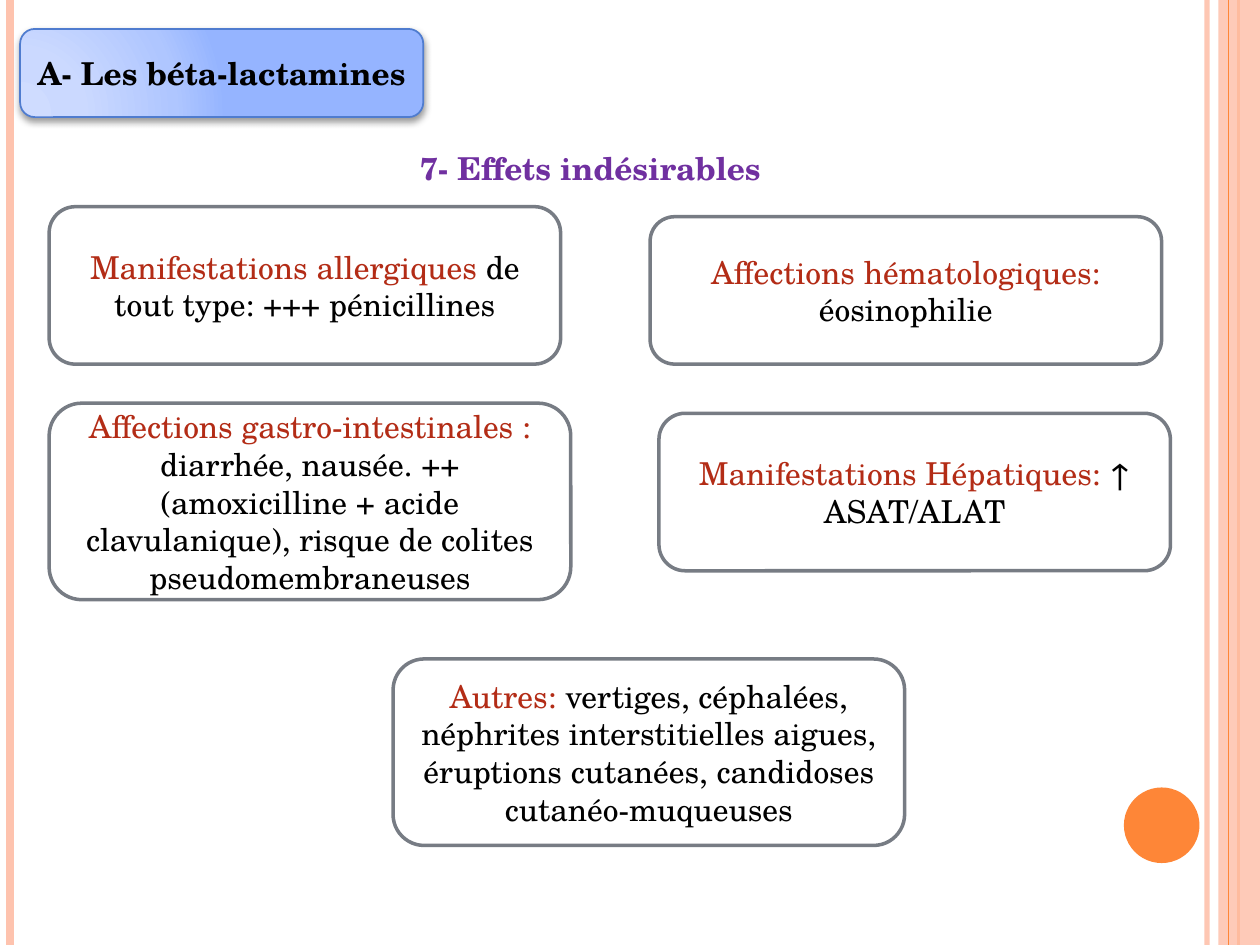
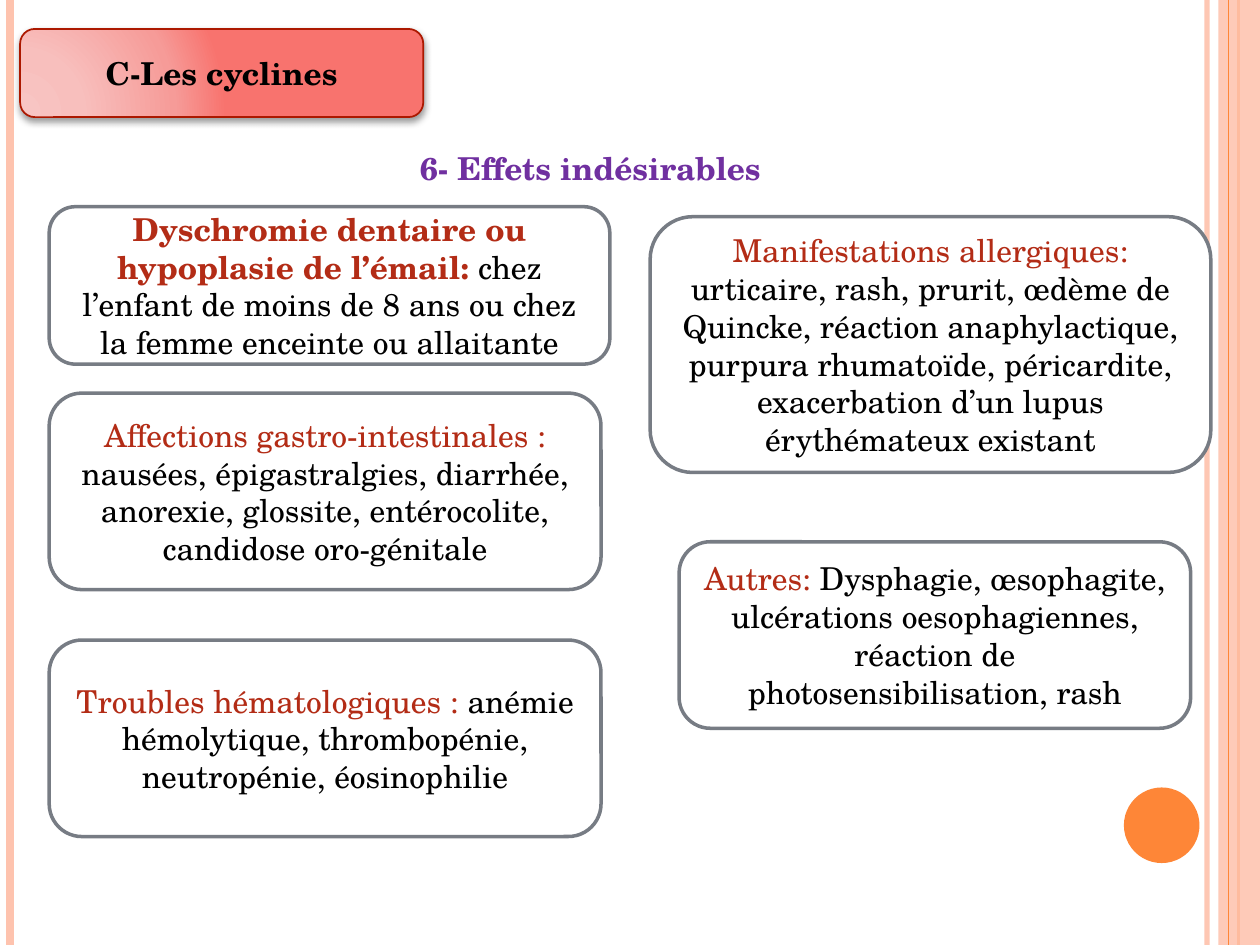
import pptx
import pptx.util
import pptx.dml.color
import pptx.enum.shapes
import pptx.enum.text
import pptx.oxml
import pptx.oxml.ns

Inches = pptx.util.Inches
Pt = pptx.util.Pt
MSO_SHAPE = pptx.enum.shapes.MSO_SHAPE
FONT = "TeX Gyre Schola"
PEACH, ORANGE, PURPLE, RED = "FEC3AE", "FE8637", "7030A0", "B32C16"
GREY, BLACK, WHITE = "777C84", "000000", "FFFFFF"
LEFT, RIGHT, TOP_LEFT, TOP_RIGHT = 0.39, 5.16, 1.64, 1.72
STOPS = (0, 30, 75, 100)

BLUE_BANNER = {"line": "4F7CCF", "fill": ("CFDCFF", "CBD9FF", "AFC6FF", "95B4FF")}
RED_BANNER = {"line": "AC1800", "fill": ("F8C5C3", "F8BFBD", "F69B98", "F8736E")}
RULES = [(9.58, PEACH, 3, 93), (0.08, PEACH, 4.5, 100),
         (9.83, ORANGE, 1.5, 100), (9.75, ORANGE, 0.75, 100)]

SLIDES = [
    {"family": "A- Les béta-lactamines", "banner": BLUE_BANNER,
     "title": "7- Effets indésirables",
     "effects": [
         ((LEFT, TOP_LEFT, 4.06, 1.25), "Manifestations allergiques ",
          "de tout type: +++ pénicillines", False),
         ((LEFT, 3.2, 4.14, 1.56), "Affections gastro-intestinales : ",
          "diarrhée, nausée. ++ (amoxicilline + acide clavulanique), "
          "risque de colites pseudomembraneuses", False),
         ((RIGHT, TOP_RIGHT, 4.06, 1.17), "Affections hématologiques: ",
          "éosinophilie", False),
         ((5.23, 3.28, 4.06, 1.25), "Manifestations Hépatiques: ",
          "↑ ASAT/ALAT", False),
         ((3.12, 5.23, 4.06, 1.48), "Autres: ",
          "vertiges, céphalées, néphrites interstitielles aigues, "
          "éruptions cutanées, candidoses cutanéo-muqueuses", False)]},
    {"family": "C-Les cyclines", "banner": RED_BANNER,
     "title": "6- Effets indésirables",
     "effects": [
         ((LEFT, TOP_LEFT, 4.45, 1.25),
          "Dyschromie dentaire ou hypoplasie de l’émail: ",
          "chez l’enfant de moins de 8 ans ou chez la femme enceinte "
          "ou allaitante", True),
         ((LEFT, 3.12, 4.38, 1.56), "Affections gastro-intestinales : ",
          "nausées, épigastralgies, diarrhée, anorexie, glossite, "
          "entérocolite, candidose oro-génitale", False),
         ((RIGHT, TOP_RIGHT, 4.45, 2.03), "Manifestations allergiques: ",
          "urticaire, rash, prurit, œdème de Quincke, réaction "
          "anaphylactique, purpura rhumatoïde, péricardite, "
          "exacerbation d’un lupus érythémateux existant", False),
         ((5.39, 4.3, 4.06, 1.48), "Autres: ",
          "Dysphagie, œsophagite, ulcérations oesophagiennes, "
          "réaction de photosensibilisation, rash", False),
         ((LEFT, 5.08, 4.38, 1.56), "Troubles hématologiques : ",
          "anémie hémolytique, thrombopénie, neutropénie, éosinophilie",
          False)]},
]


def rgb(color):
    return pptx.dml.color.RGBColor.from_string(color)


def xml(text):
    return pptx.oxml.parse_xml(
        text.replace(" ", f" {pptx.oxml.ns.nsdecls('a')} ", 1))


def set_alpha(fill, percent):
    color = fill._xPr.find(".//" + pptx.oxml.ns.qn("a:srgbClr"))
    color.append(xml(f'<a:alpha val="{percent * 1000}"/>'))


def add_shape(s, kind, box, fill, line=None, width=1):
    sp = s.shapes.add_shape(kind, *map(Inches, box))
    sp.shadow.inherit = False
    sp.fill.solid()
    sp.fill.fore_color.rgb = rgb(fill)
    if line:
        sp.line.color.rgb = rgb(line)
        sp.line.width = Pt(width)
    else:
        sp.line.fill.background()
    return sp


def write(sp, runs):
    tf = sp.text_frame
    tf.word_wrap = True
    tf.auto_size = pptx.enum.text.MSO_AUTO_SIZE.NONE
    tf.vertical_anchor = pptx.enum.text.MSO_ANCHOR.MIDDLE
    p = tf.paragraphs[0]
    p.alignment = pptx.enum.text.PP_ALIGN.CENTER
    for text, color, bold in runs:
        r = p.add_run()
        r.text = text
        r.font.name, r.font.size, r.font.bold = FONT, Pt(18), bold
        r.font.color.rgb = rgb(color)


def add_rule(s, x, color, width, alpha):
    c = s.shapes.add_connector(pptx.enum.shapes.MSO_CONNECTOR.STRAIGHT,
                               Inches(x), 0, Inches(x), Inches(7.5))
    c.line.color.rgb = rgb(color)
    c.line.width = Pt(width)
    if alpha < 100:
        set_alpha(c.line.fill, alpha)
    c.element.spPr.append(xml("<a:effectLst />"))
    return c


def decorate_layout(layout, s):
    for ph in list(layout.placeholders)[1:]:
        layout.shapes.element.remove(ph.element)
    rules = [add_rule(s, *rule) for rule in RULES]
    band = add_shape(s, MSO_SHAPE.RECTANGLE, (9.67, 0, 0.33, 7.5), PEACH)
    set_alpha(band.fill, 87)
    disc = add_shape(s, MSO_SHAPE.OVAL, (8.92, 6.25, 0.6, 0.6), ORANGE)
    for sp in rules[:3] + [band, rules[3], disc]:
        layout.shapes.element.append(sp.element)


def add_banner(s, text, style):
    sp = add_shape(s, MSO_SHAPE.ROUNDED_RECTANGLE, (0.16, 0.23, 3.2, 0.7),
                   WHITE, style["line"])
    stops = "".join(f'<a:gs pos="{pos * 1000}"><a:srgbClr val="{color}"/></a:gs>'
                    for pos, color in zip(STOPS, style["fill"]))
    spPr = sp.element.spPr
    spPr.replace(spPr.find(pptx.oxml.ns.qn("a:solidFill")), xml(
        f'<a:gradFill rotWithShape="1"><a:gsLst>{stops}</a:gsLst>'
        '<a:path path="circle"><a:fillToRect l="5000" t="100000" '
        'r="120000" b="10000"/></a:path></a:gradFill>'))
    spPr.find(pptx.oxml.ns.qn("a:effectLst")).append(xml(
        f'<a:outerShdw blurRad="{Pt(4)}" dist="{Pt(2)}" dir="5400000" '
        f'rotWithShape="0"><a:srgbClr val="{BLACK}"><a:alpha val="40000"/>'
        '</a:srgbClr></a:outerShdw>'))
    write(sp, [(text, BLACK, True)])


def add_title(s, text):
    sp = s.shapes.title
    sp.left, sp.top, sp.width, sp.height = map(Inches, (3.12, 1.02, 3.13, 0.63))
    write(sp, [(text, PURPLE, True)])


def main():
    prs = pptx.Presentation()
    prs.slide_width, prs.slide_height = Inches(10), Inches(7.5)
    layout = prs.slide_layouts[5]
    for i, content in enumerate(SLIDES):
        s = prs.slides.add_slide(layout)
        if i == 0:
            decorate_layout(layout, s)
        add_title(s, content["title"])
        add_banner(s, content["family"], content["banner"])
        for box, label, detail, bold in content["effects"]:
            sp = add_shape(s, MSO_SHAPE.ROUNDED_RECTANGLE, box, WHITE, GREY, 2)
            write(sp, [(label, RED, bold), (detail, BLACK, False)])
    prs.save("out.pptx")


if __name__ == "__main__":
    main()
